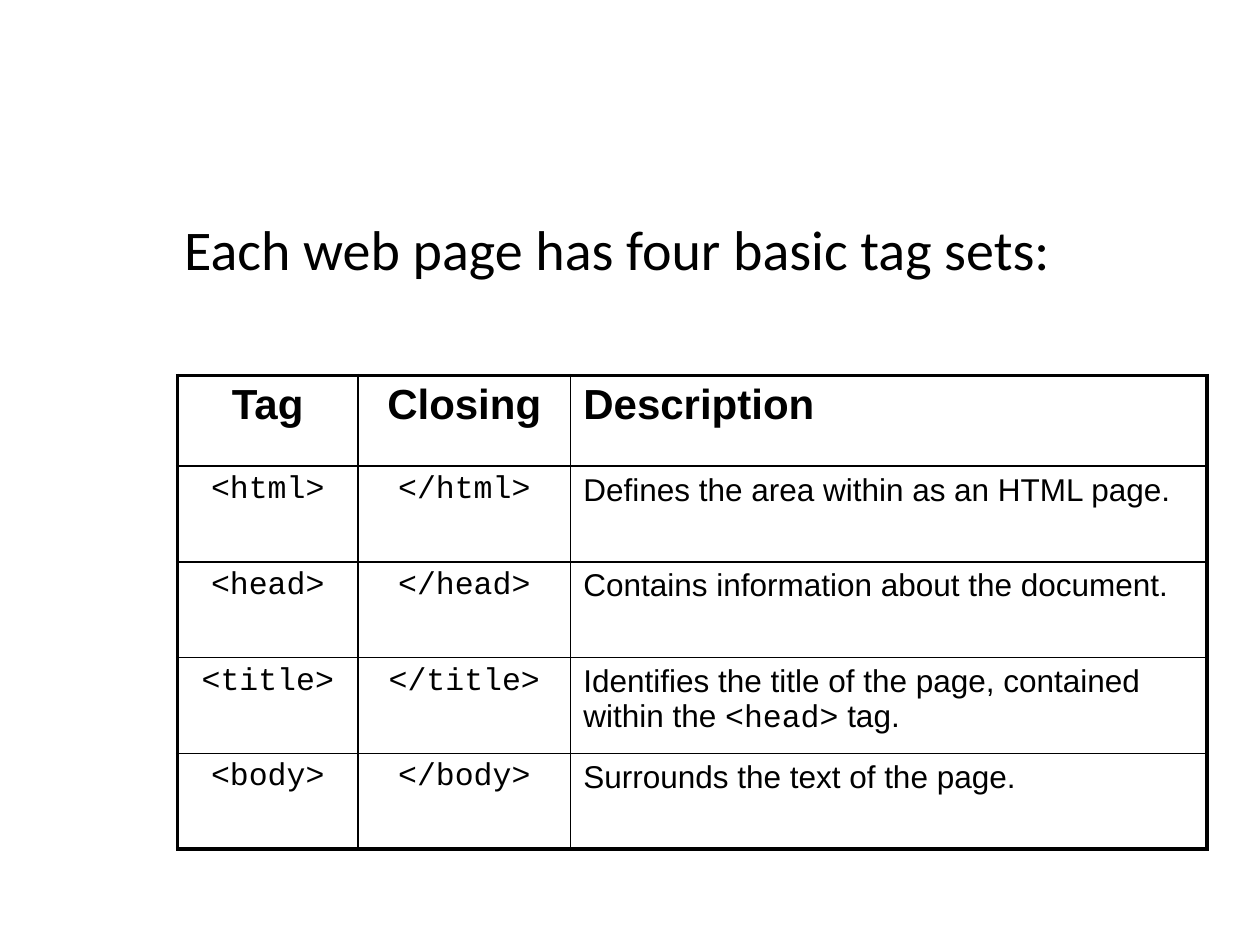
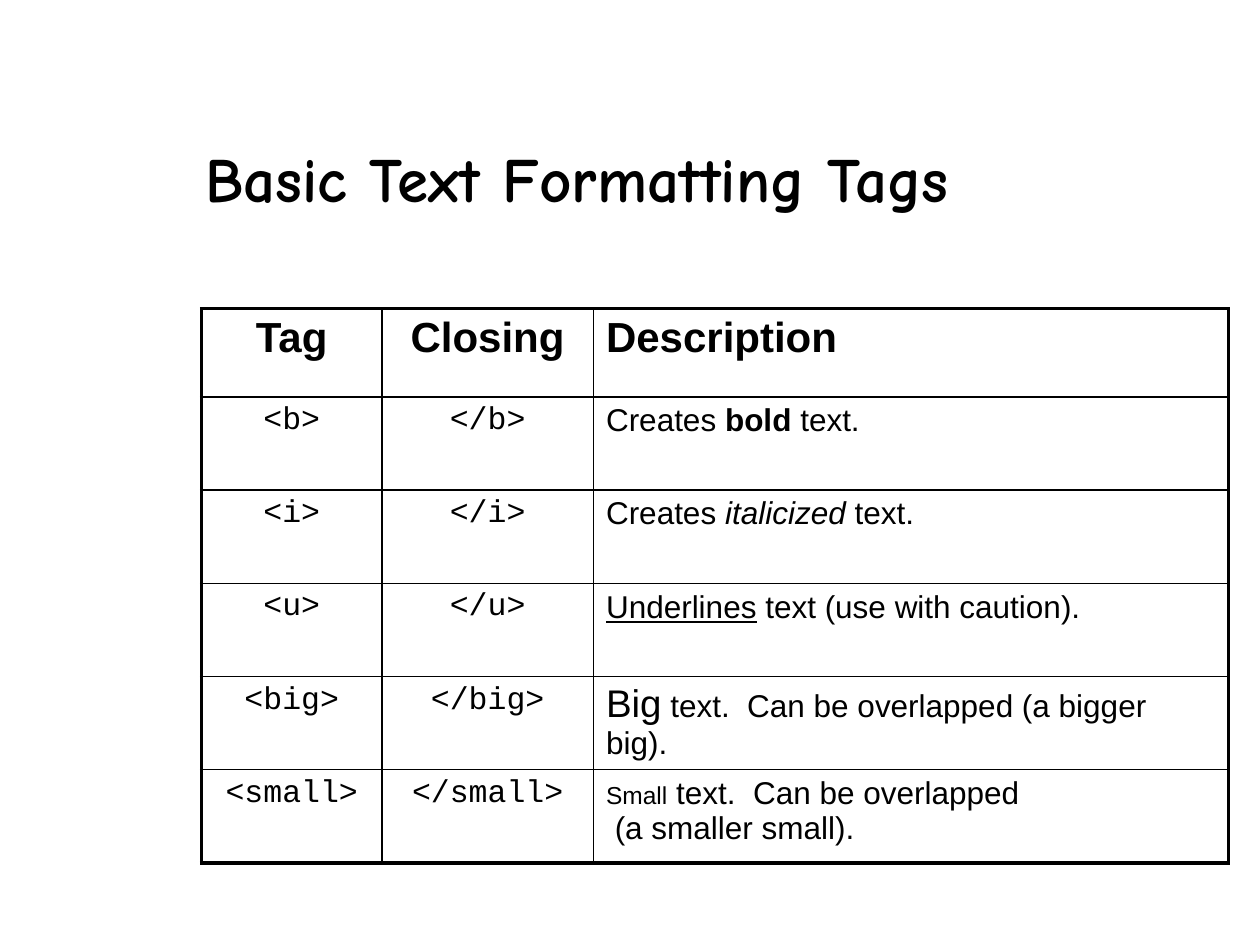
from lxml.etree import SubElement
from pptx import Presentation
from pptx.dml.color import RGBColor
from pptx.enum.text import MSO_ANCHOR, MSO_AUTO_SIZE, PP_ALIGN
from pptx.oxml.ns import qn
from pptx.util import Inches, Pt

BLACK = RGBColor(0x00, 0x00, 0x00)
TEXT_FONT, CODE_FONT = "Arial", "Courier New"
HEADER_SIZE, TEXT_SIZE = 24, 18
OUTER_LINE, INNER_LINE = 2.25, 1
TITLE_ONLY = 5
HEADINGS = ("Tag", "Closing", "Description")

# A description is a list of (text, style) runs; style holds add_run options.
BASIC_TAGS = [
    ("html", [("Defines the area within as an HTML page.", {})]),
    ("head", [("Contains information about the document.", {})]),
    ("title", [("Identifies the title of the page, contained within the ", {}),
               ("<head>", {"font": CODE_FONT}), (" tag.", {})]),
    ("body", [("Surrounds the text of the page.", {})]),
]
FORMATTING_TAGS = [
    ("b", [("Creates ", {}), ("bold", {"bold": True}), (" text.", {})]),
    ("i", [("Creates ", {}), ("italicized", {"italic": True}), (" text.", {})]),
    ("u", [("Underlines", {"underline": True}),
           (" text (use with caution).", {})]),
    ("big", [("Big", {"size": 22}),
             (" text.  Can be overlapped (a bigger big).", {})]),
    ("small", [("Small", {"size": 14}),
               (" text.  Can be overlapped\n (a smaller small).", {})]),
]


def add_run(paragraph, text, font=TEXT_FONT, size=TEXT_SIZE, bold=False,
            italic=False, underline=False):
    """Add styled text, turning each newline into a line break."""
    for number, line in enumerate(text.split("\n")):
        if number:
            paragraph.add_line_break()
        run = paragraph.add_run()
        run.text = line
        style = run.font
        style.name, style.size = font, Pt(size)
        style.bold, style.italic, style.underline = bold, italic, underline
        style.color.rgb = BLACK


def add_title(slide, text, box, font, size, bold=False, align=PP_ALIGN.LEFT):
    title = slide.shapes.title
    title.left, title.top, title.width, title.height = map(Inches, box)
    frame = title.text_frame
    frame.word_wrap = True
    frame.auto_size = MSO_AUTO_SIZE.NONE
    frame.vertical_anchor = MSO_ANCHOR.TOP
    paragraph = frame.paragraphs[0]
    paragraph.alignment = align
    add_run(paragraph, text, font, size, bold)


def set_borders(cell, outer_sides):
    """Draw the four cell edges, heavier on the sides that frame the table."""
    properties = cell._tc.get_or_add_tcPr()
    for side in "LRTB":
        width = OUTER_LINE if side in outer_sides else INNER_LINE
        line = SubElement(properties, qn(f"a:ln{side}"), w=str(Pt(width)))
        fill = SubElement(line, qn("a:solidFill"))
        SubElement(fill, qn("a:srgbClr"), val=str(BLACK))


def add_tag_table(slide, tags, left, top, column_widths, header_height,
                  row_height):
    header = [[(heading, {"size": HEADER_SIZE, "bold": True})]
              for heading in HEADINGS]
    code = {"font": CODE_FONT}
    rows = [header] + [[[(f"<{tag}>", code)], [(f"</{tag}>", code)], description]
                       for tag, description in tags]
    heights = [header_height] + [row_height] * len(tags)
    table = slide.shapes.add_table(
        len(rows), len(HEADINGS), Inches(left), Inches(top),
        Inches(sum(column_widths)), Inches(sum(heights))).table
    table.first_row = table.horz_banding = False
    for column, width in zip(table.columns, column_widths):
        column.width = Inches(width)

    last_row, last_column = len(rows) - 1, len(HEADINGS) - 1
    for r, row in enumerate(rows):
        table.rows[r].height = Inches(heights[r])
        for c, runs in enumerate(row):
            cell = table.cell(r, c)
            outer_sides = (("T" if r == 0 else "")
                           + ("B" if r == last_row else "")
                           + ("L" if c == 0 else "")
                           + ("R" if c == last_column else ""))
            set_borders(cell, outer_sides)
            cell.fill.background()
            paragraph = cell.text_frame.paragraphs[0]
            paragraph.alignment = (PP_ALIGN.LEFT if c == last_column
                                   else PP_ALIGN.CENTER)
            for text, style in runs:
                add_run(paragraph, text, **style)


def main():
    deck = Presentation()
    deck.slide_width, deck.slide_height = Inches(10), Inches(7.5)
    layout = deck.slide_layouts[TITLE_ONLY]

    basics = deck.slides.add_slide(layout)
    add_title(basics, "Each web page has four basic tag sets:",
              (0.65, 1.65, 8.5, 0.58), "Calibri", 32, align=PP_ALIGN.CENTER)
    add_tag_table(basics, BASIC_TAGS, 1.41, 2.98, (1.43, 1.69, 5.05), 0.72, 0.76)

    formatting = deck.slides.add_slide(layout)
    add_title(formatting, "Basic Text Formatting Tags",
              (1.53, 1.06, 8.5, 1.25), "Comic Neue", 36, bold=True)
    add_tag_table(formatting, FORMATTING_TAGS, 1.6, 2.45, (1.43, 1.68, 5.04),
                  0.7, 0.74)

    deck.save("out.pptx")


if __name__ == "__main__":
    main()
